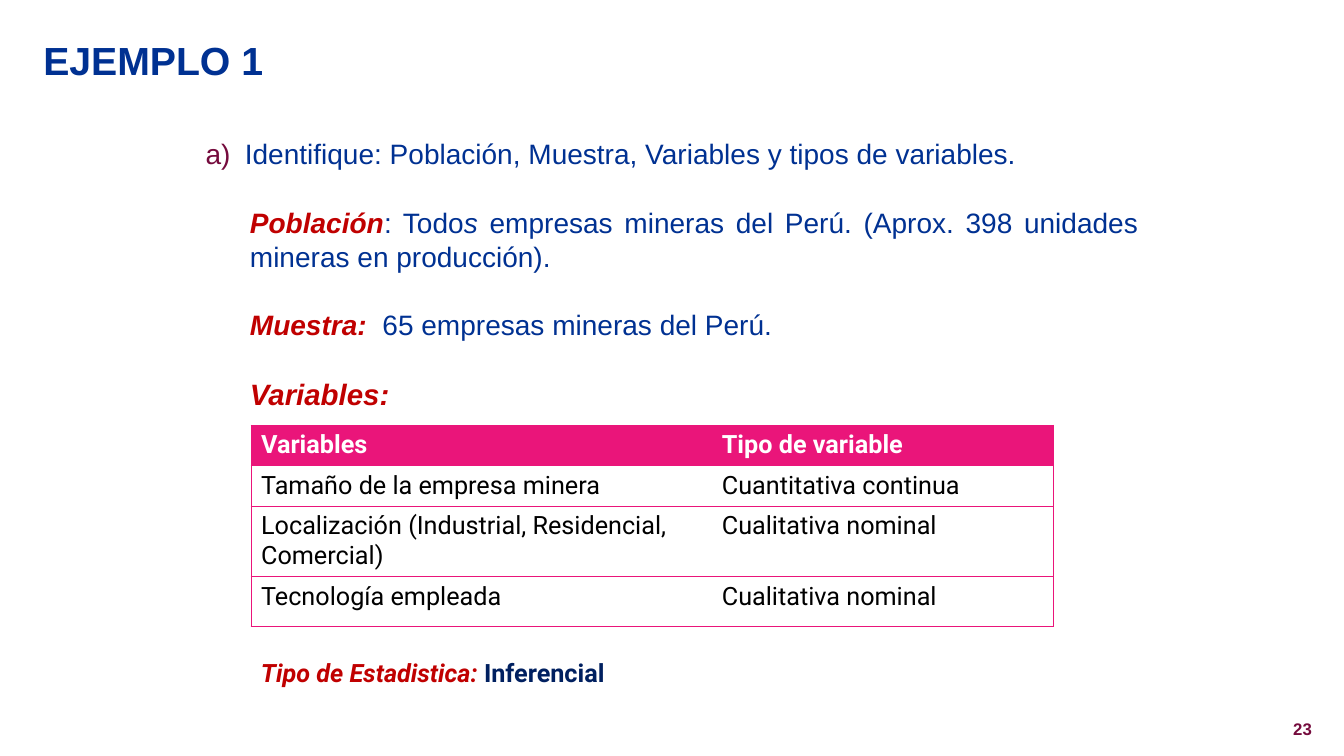
from pptx import Presentation
from pptx.dml.color import RGBColor
from pptx.enum.text import MSO_ANCHOR, MSO_AUTO_SIZE, PP_ALIGN
from pptx.oxml.ns import qn
from pptx.util import Inches, Pt
from lxml import etree

MIDDLE = MSO_ANCHOR.MIDDLE
NO_AUTOSIZE = MSO_AUTO_SIZE.NONE
LEFT, RIGHT, JUSTIFY = PP_ALIGN.LEFT, PP_ALIGN.RIGHT, PP_ALIGN.JUSTIFY

BLUE = RGBColor(0x00, 0x31, 0x92)
NAVY = RGBColor(0x00, 0x20, 0x60)
RED = RGBColor(0xC0, 0x00, 0x00)
WINE = RGBColor(0x75, 0x0B, 0x3D)
PINK = RGBColor(0xEA, 0x15, 0x7A)
WHITE = RGBColor(0xFF, 0xFF, 0xFF)
BLACK = RGBColor(0x00, 0x00, 0x00)


def set_font(font, name, size, color, bold=False, italic=False):
    font.name, font.size, font.bold, font.italic = name, Pt(size), bold, italic
    font.color.rgb = color


def add_border(cell, side, color):
    """Draw one cell edge, or clear it when color is None."""
    line = etree.Element(qn(f"a:ln{side}"), w=str(Pt(0.79)))
    if color is None:
        etree.SubElement(line, qn("a:noFill"))
    else:
        fill = etree.SubElement(line, qn("a:solidFill"))
        etree.SubElement(fill, qn("a:srgbClr"), val=str(color))
    return line


deck = Presentation()
deck.slide_width, deck.slide_height = Inches(13.33), Inches(7.5)
page = deck.slides.add_slide(deck.slide_layouts[5])

# Title
title = page.shapes.title
title.left, title.top = Inches(0.33), Inches(0.13)
title.width, title.height = Inches(12.67), Inches(0.92)
title.text_frame.text = "EJEMPLO 1"
title.text_frame.vertical_anchor = MIDDLE
title.text_frame.auto_size = NO_AUTOSIZE
para = title.text_frame.paragraphs[0]
para.alignment = LEFT
set_font(para.font, "Arial", 28, BLUE, bold=True)

# Question and answers: (text, size, color, bold, italic) per run
answers = [
    [("Identifique: Población, Muestra, Variables y tipos de variables.", 20, BLUE, False, False)],
    [("Población", 20, RED, True, True),
     (": Todo", 20, BLUE, False, False),
     ("s ", 20, BLUE, False, True),
     ("empresas mineras del Perú. (Aprox. 398 unidades mineras en producción).",
      20, BLUE, False, False)],
    [("Muestra: ", 20, RED, True, True),
     (" 65 empresas mineras del Perú.", 20, BLUE, False, False)],
    [("Variables:", 21, RED, True, True)],
]
body = page.shapes.add_textbox(Inches(1.94), Inches(1.31), Inches(9.45), Inches(2.9))
frame = body.text_frame
frame.word_wrap = True
for index, runs in enumerate(answers):
    para = frame.add_paragraph() if index else frame.paragraphs[0]
    para.alignment = JUSTIFY
    para.space_before = Pt(25 if index else 1)
    for text, *style in runs:
        span = para.add_run()
        span.text = text
        set_font(span.font, "Arial", *style)
    indent = para._p.get_or_add_pPr()
    indent.set("marL", str(Inches(0.44 if index else 0.39)))
    indent.set("indent", str(Inches(0 if index else -0.39)))

# Letter in front of the question
question = frame.paragraphs[0]._p.get_or_add_pPr()
letter_color = etree.SubElement(question, qn("a:buClr"))
etree.SubElement(letter_color, qn("a:srgbClr"), val=str(WINE))
etree.SubElement(question, qn("a:buFont"), typeface="Arial")
etree.SubElement(question, qn("a:buAutoNum"), type="alphaLcParenR")

# Table of variables
rows = [
    ("Variables", "Tipo de variable"),
    ("Tamaño de la empresa minera", "Cuantitativa continua"),
    ("Localización (Industrial, Residencial, Comercial)", "Cualitativa nominal"),
    ("Tecnología empleada", "Cualitativa nominal"),
]
row_heights = [0.39, 0.4, 0.69, 0.49]
table = page.shapes.add_table(
    len(rows), 2, Inches(2.49), Inches(4.22), Inches(7.96), Inches(sum(row_heights))).table
table.horz_banding = False
for column, width in zip(table.columns, (4.57, 3.39)):
    column.width = Inches(width)
for r, (row, height) in enumerate(zip(rows, row_heights)):
    table.rows[r].height = Inches(height)
    for c, text in enumerate(row):
        cell = table.cell(r, c)
        cell.text = text
        set_font(cell.text_frame.paragraphs[0].font, "Roboto", 18,
                 BLACK if r else WHITE, bold=r == 0)
        edges = {"L": None if c else PINK, "R": PINK if c else None, "T": PINK, "B": PINK}
        for side, color in edges.items():
            cell._tc.get_or_add_tcPr().append(add_border(cell, side, color))
        if r:
            cell.fill.background()
        else:
            cell.fill.solid()
            cell.fill.fore_color.rgb = PINK

# Type of statistics
kind = page.shapes.add_textbox(Inches(2.49), Inches(6.47), Inches(6.66), Inches(0.4))
kind.text_frame.word_wrap = True
para = kind.text_frame.paragraphs[0]
for text, color, italic in (("Tipo de Estadistica: ", RED, True), ("Inferencial", NAVY, False)):
    span = para.add_run()
    span.text = text
    set_font(span.font, "Roboto", 18, color, bold=True, italic=italic)

# Page number
number = page.shapes.add_textbox(Inches(12), Inches(7.08), Inches(1.11), Inches(0.27))
number.text_frame.word_wrap = True
para = number.text_frame.paragraphs[0]
para.text = "23"
para.alignment = RIGHT
set_font(para.font, "Arial", 12, WINE, bold=True)

deck.save("out.pptx")
